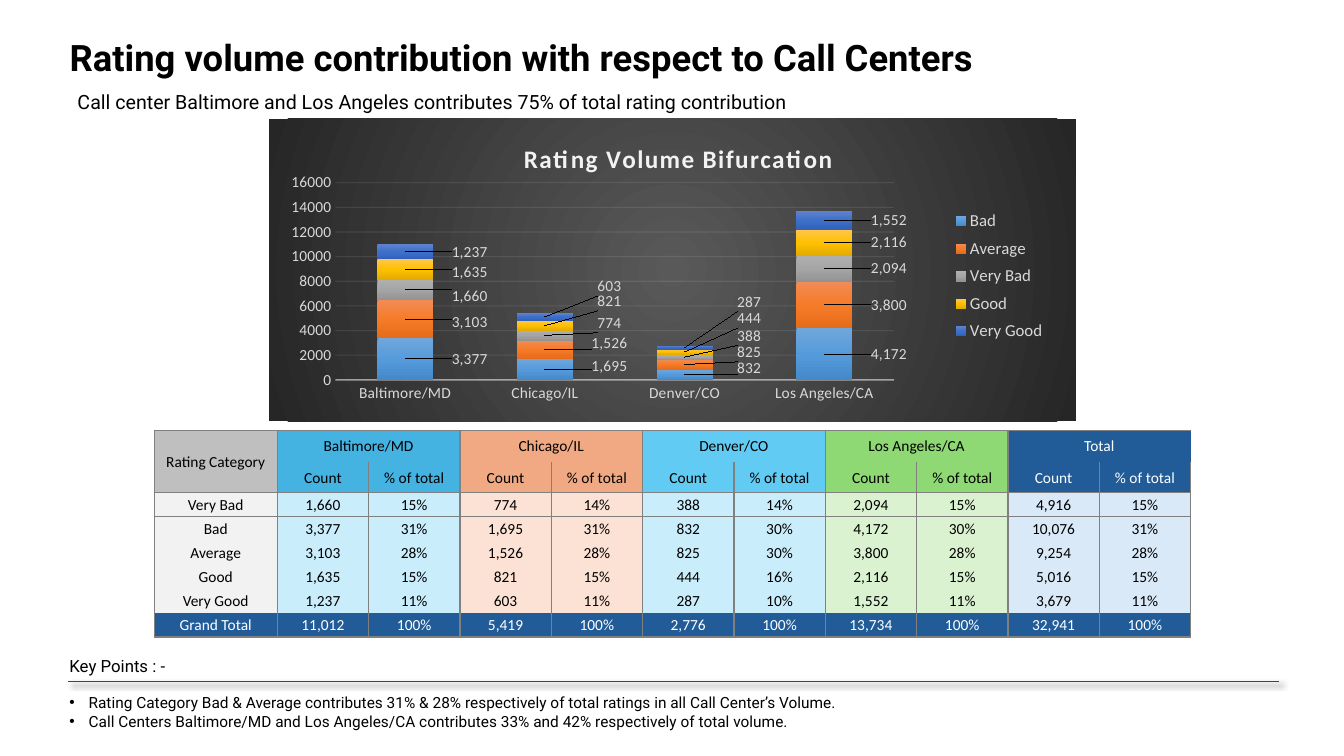
from lxml.etree import SubElement
from pptx import Presentation
from pptx.chart.data import CategoryChartData
from pptx.dml.color import RGBColor
from pptx.enum.chart import XL_CHART_TYPE as ChartType, XL_LABEL_POSITION as LabelPosition
from pptx.enum.chart import XL_LEGEND_POSITION as LegendPosition, XL_TICK_MARK as TickMark
from pptx.enum.shapes import MSO_CONNECTOR as Connector
from pptx.enum.text import MSO_ANCHOR as Anchor, MSO_AUTO_SIZE as AutoSize, PP_ALIGN as Align
from pptx.oxml import parse_xml
from pptx.oxml.ns import nsdecls, qn
from pptx.util import Inches, Pt

BLACK, WHITE = RGBColor(0, 0, 0), RGBColor(255, 255, 255)
PALE, SILVER = RGBColor(0xF2, 0xF2, 0xF2), RGBColor(0xD9, 0xD9, 0xD9)
BORDER, CORNER = RGBColor(0x80, 0x80, 0x80), RGBColor(0xBF, 0xBF, 0xBF)
NAVY, RULE = RGBColor(0x21, 0x5C, 0x98), RGBColor(0x1F, 0x4E, 0x79)
HEADER_FILLS = [RGBColor.from_string(code) for code in ("44B3E1", "F1A983", "61CBF3", "8ED973")] + [NAVY]
BODY_FILLS = [RGBColor.from_string(code) for code in ("CAEDFB", "FBE2D5", "CAEDFB", "DAF2D0", "DAE9F8")]
BACKDROP = [RGBColor.from_string(code) for code in ("595959", "262626")]

CENTERS = ["Baltimore/MD", "Chicago/IL", "Denver/CO", "Los Angeles/CA"]
RATINGS = {
    "Bad": (3377, 1695, 832, 4172),
    "Average": (3103, 1526, 825, 3800),
    "Very Bad": (1660, 774, 388, 2094),
    "Good": (1635, 821, 444, 2116),
    "Very Good": (1237, 603, 287, 1552),
}
SERIES_STOPS = {
    "Bad": ("71A6DB", "559BDB", "448ACA"),
    "Average": ("F18C57", "F67B28", "E56C19"),
    "Very Bad": ("AFAFAF", "A5A5A5", "939393"),
    "Good": ("FFC64B", "FFC000", "E3AB00"),
    "Very Good": ("6183CB", "3E70CA", "3062BB"),
}
LABEL_RISES = {
    "Bad": (0, -0.01, -0.02, 0),
    "Average": (0.01, -0.02, -0.04, 0),
    "Very Bad": (0.02, -0.04, -0.07, 0),
    "Good": (0.01, -0.08, -0.11, 0),
    "Very Good": (0, -0.1, -0.15, 0),
}
TABLE_ORDER = ["Very Bad", "Bad", "Average", "Good", "Very Good"]
KEY_POINTS = [
    "Rating Category Bad & Average contributes 31% & 28% respectively of total ratings "
    "in all Call Center’s Volume.",
    "Call Centers Baltimore/MD and Los Angeles/CA contributes 33% and 42% respectively of total volume.",
]


def apply_format(target, **values):
    """Set each given attribute on the target."""
    for name, value in values.items():
        setattr(target, name, value)


def format_font(font, size, color, name="Calibri", bold=False):
    """Set face, size, weight and colour of a font."""
    apply_format(font, name=name, size=Pt(size), bold=bold)
    font.color.rgb = color


def gradient(colors, direction):
    """Return a gradient fill with evenly spaced stops."""
    stops = "".join(
        f'<a:gs pos="{100000 * step // (len(colors) - 1)}"><a:srgbClr val="{color}"/></a:gs>'
        for step, color in enumerate(colors))
    return parse_xml(f'<a:gradFill {nsdecls("a")}><a:gsLst>{stops}</a:gsLst>{direction}</a:gradFill>')


def set_layout(element, index, **settings):
    """Give a chart element a manual layout."""
    for old in element.findall(qn("c:layout")):
        element.remove(old)
    layout = parse_xml(f'<c:layout {nsdecls("c")}><c:manualLayout/></c:layout>')
    for name, value in settings.items():
        SubElement(layout[0], qn(f"c:{name}")).set("val", str(value))
    element.insert(index, layout)


def format_line(line, color, width, owner, opacity):
    """Draw a translucent chart line."""
    line.color.rgb, line.width = color, Pt(width)
    for shade in owner().iter(qn("a:srgbClr")):
        SubElement(shade, qn("a:alpha")).set("val", str(opacity * 1000))


def fill_text(frame, lines, size, bold=False, bulleted=False):
    """Write left-aligned paragraphs into a text frame."""
    apply_format(frame, word_wrap=True, auto_size=AutoSize.SHAPE_TO_FIT_TEXT, vertical_anchor=Anchor.TOP)
    for index, line in enumerate(lines):
        para = frame.add_paragraph() if index else frame.paragraphs[0]
        para.alignment = Align.LEFT
        span = para.add_run()
        span.text = line
        format_font(span.font, size, BLACK, "Roboto", bold)
        if bulleted:
            settings = para._p.get_or_add_pPr()
            settings.set("marL", str(Inches(0.19)))
            settings.set("indent", str(Inches(-0.19)))
            SubElement(settings, qn("a:buFont")).set("typeface", "Arial")
            SubElement(settings, qn("a:buChar")).set("char", "•")


def add_heading(page, left, top, width):
    """Place the title and the line beneath it."""
    title = page.shapes.title
    apply_format(title, left=left, top=top, width=width, height=Inches(0.54))
    fill_text(title.text_frame, ["Rating volume contribution with respect to Call Centers"], 26, True)
    subtitle = page.shapes.add_textbox(left + Inches(0.08), top + Inches(0.54), width - Inches(0.2), Inches(0.34))
    fill_text(subtitle.text_frame,
              ["Call center Baltimore and Los Angeles contributes 75% of total rating contribution"], 14)


def format_series(series):
    """Colour one series and set its labels beside the columns."""
    series.format.fill.solid()
    solid = series._element.find(qn("c:spPr")).find(qn("a:solidFill"))
    solid.getparent().replace(solid, gradient(SERIES_STOPS[series.name], '<a:lin ang="5400000" scaled="0"/>'))
    labels = series.data_labels
    apply_format(labels, show_value=True, number_format="#,##0", number_format_is_linked=False,
                 position=LabelPosition.CENTER)
    format_font(labels.font, 11, SILVER)
    for index in range(len(CENTERS)):
        label = series.points[index].data_label
        format_font(label.font, 11, SILVER)
        label.position = LabelPosition.CENTER
    for element, rise in zip(labels._element.findall(qn("c:dLbl")), LABEL_RISES[series.name]):
        set_layout(element, 1, x=0.08, y=rise)
        element.insert(2, parse_xml(f'<c:numFmt {nsdecls("c")} formatCode="#,##0" sourceLinked="0"/>'))


def add_rating_chart(page, left, top, width, height):
    """Place the stacked column chart."""
    data = CategoryChartData(number_format="#,##0")
    data.categories = CENTERS
    for rating, counts in RATINGS.items():
        data.add_series(rating, counts)
    chart = page.shapes.add_chart(ChartType.COLUMN_STACKED, left, top, width, height, data).chart
    format_font(chart.font, 11, SILVER)
    backdrop = parse_xml(f'<c:spPr {nsdecls("c", "a")}><a:ln><a:noFill/></a:ln></c:spPr>')
    backdrop.insert(0, gradient(BACKDROP, '<a:path path="circle"><a:fillToRect l="50000" t="50000" '
                                          'r="50000" b="50000"/></a:path>'))
    body = chart.element.find(qn("c:chart"))
    body.addnext(backdrop)
    span = chart.chart_title.text_frame.paragraphs[0].add_run()
    span.text = "Rating Volume Bifurcation"
    format_font(span.font, 18, PALE, bold=True)
    span.font._element.set("spc", "100")
    set_layout(chart.chart_title._element, 1, xMode="edge", yMode="edge", x=0.31, y=0.06)
    chart.has_legend = True
    apply_format(chart.legend, position=LegendPosition.BOTTOM, include_in_layout=False)
    format_font(chart.legend.font, 12, SILVER)
    set_layout(chart.legend._element, 1, xMode="edge", yMode="edge", x=0.83, y=0.28, w=0.15, h=0.48)
    set_layout(body.find(qn("c:plotArea")), 0, layoutTarget="inner", xMode="edge", yMode="edge",
               x=0.082, y=0.211, w=0.693, h=0.652)
    plot = chart.plots[0]
    apply_format(plot, gap_width=150, overlap=100, vary_by_categories=False)
    for series in plot.series:
        format_series(series)
    across, upward = chart.category_axis, chart.value_axis
    for axis in (across, upward):
        apply_format(axis, major_tick_mark=TickMark.NONE, minor_tick_mark=TickMark.NONE)
        format_font(axis.tick_labels.font, 11, SILVER)
    format_line(across.format.line, PALE, 1, lambda: across._element.find(qn("c:spPr")), 54)
    apply_format(upward, minimum_scale=0, maximum_scale=16000, major_unit=2000)
    apply_format(upward.tick_labels, number_format="0", number_format_is_linked=False)
    format_line(upward.major_gridlines.format.line, PALE, 0.75,
                lambda: upward._element.find(qn("c:majorGridlines")), 10)
    upward.format.line.fill.background()


def table_rows():
    """Return the table's texts, with totals and shares worked out."""
    counts = [[*RATINGS[rating], sum(RATINGS[rating])] for rating in TABLE_ORDER]
    totals = [sum(column) for column in zip(*counts)]
    rows = [["Rating Category"] + [text for center in CENTERS + ["Total"] for text in (center, "")],
            [""] + ["Count", "% of total"] * len(totals)]
    for name, values in zip(TABLE_ORDER + ["Grand Total"], counts + [totals]):
        rows.append([name] + [text for value, total in zip(values, totals)
                              for text in (f"{value:,}", f"{value / total:.0%}")])
    return rows


def format_cell(cell, text, row, column, last):
    """Write, colour and border one table cell."""
    apply_format(cell, vertical_anchor=Anchor.MIDDLE, margin_left=Inches(0.01), margin_right=Inches(0.01),
                 margin_top=Inches(0.01), margin_bottom=0)
    group = (column - 1) // 2
    if row == last:
        color = NAVY
    elif row < 2:
        color = HEADER_FILLS[group] if column else CORNER
    else:
        color = BODY_FILLS[group] if column else PALE
    cell.fill.solid()
    cell.fill.fore_color.rgb = color
    para = cell.text_frame.paragraphs[0]
    para.alignment = Align.CENTER
    if text:
        span = para.add_run()
        span.text = text
        format_font(span.font, 11, WHITE if color == NAVY else BLACK)
    sides = {"L": column % 2 or column == 0, "R": column % 2 == 0, "T": row in (0, 2), "B": row in (1, last)}
    for index, side in enumerate(side for side, drawn in sides.items() if drawn):
        cell._tc.get_or_add_tcPr().insert(index, parse_xml(
            f'<a:ln{side} {nsdecls("a")} w="{Pt(1)}"><a:solidFill><a:srgbClr val="{BORDER}"/>'
            f'</a:solidFill></a:ln{side}>'))


def add_rating_table(page, left, top, width, height):
    """Place the table of counts and shares."""
    rows = table_rows()
    table = page.shapes.add_table(len(rows), len(rows[0]), left, top, width, height).table
    apply_format(table, first_row=False, horz_banding=False)
    table._tbl.tblPr.find(qn("a:tableStyleId")).text = "{2D5ABB26-0587-4C30-8999-92F81FD0307C}"
    name_width, header_height = Inches(1.22), Inches(0.31)
    for index, column in enumerate(table.columns):
        column.width = (width - name_width) // 10 if index else name_width
    for index, row in enumerate(table.rows):
        row.height = header_height if index < 2 else (height - 2 * header_height) // 6
    for row, texts in enumerate(rows):
        for column, text in enumerate(texts):
            format_cell(table.cell(row, column), text, row, column, len(rows) - 1)
    table.cell(0, 0).merge(table.cell(1, 0))
    for column in range(1, len(rows[0]), 2):
        table.cell(0, column).merge(table.cell(0, column + 1))


def add_key_points(page, left, top, width):
    """Place the key points under their shadowed rule."""
    label = page.shapes.add_textbox(left, top, Inches(3.49), Inches(0.3))
    fill_text(label.text_frame, ["Key Points : -"], 12)
    start, level = left + Inches(0.08), top + Inches(0.3)
    rule = page.shapes.add_connector(Connector.STRAIGHT, start, level, start + Inches(12.02), level)
    rule.line.color.rgb, rule.line.width = RULE, Pt(0.5)
    rule._element.spPr.append(parse_xml(
        f'<a:effectLst {nsdecls("a")}><a:outerShdw blurRad="{Pt(4)}" dist="{Pt(3)}" dir="2700000" algn="tl" '
        'rotWithShape="0"><a:srgbClr val="000000"><a:alpha val="40000"/></a:srgbClr></a:outerShdw></a:effectLst>'))
    points = page.shapes.add_textbox(left, top + Inches(0.37), width, Inches(0.47))
    fill_text(points.text_frame, KEY_POINTS, 11, bulleted=True)


def main():
    """Build the slide and save the deck."""
    deck = Presentation()
    apply_format(deck, slide_width=Inches(13.33), slide_height=Inches(7.5))
    page = deck.slides.add_slide(deck.slide_layouts[5])
    add_heading(page, Inches(0.59), Inches(0.3), Inches(12.19))
    add_rating_chart(page, Inches(2.67), Inches(1.18), Inches(8), Inches(3))
    add_rating_table(page, Inches(1.53), Inches(4.27), Inches(10.28), Inches(2.05))
    add_key_points(page, Inches(0.59), Inches(6.46), Inches(12.19))
    deck.save("out.pptx")


if __name__ == "__main__":
    main()
